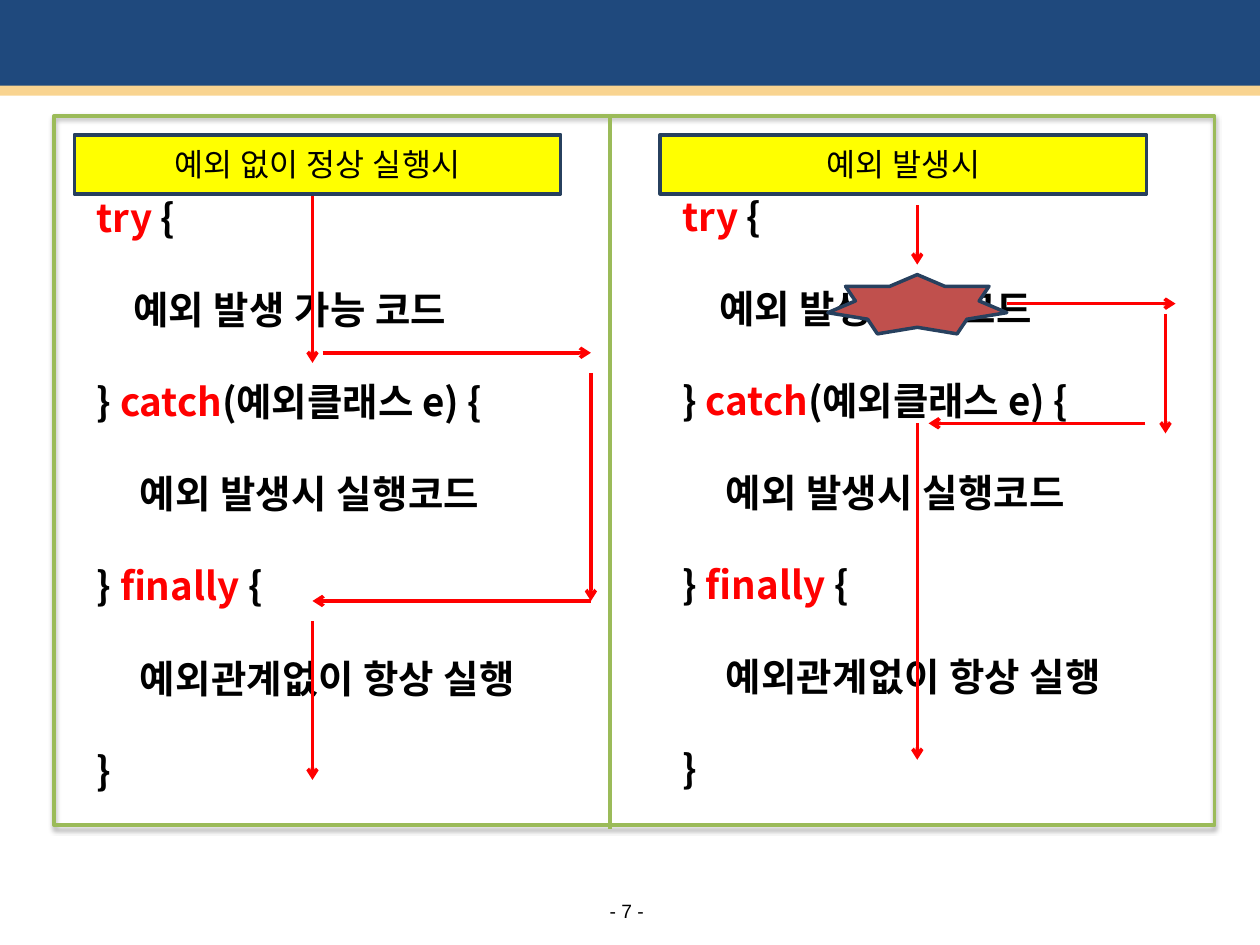
from lxml import etree
from pptx import Presentation
from pptx import util as u
from pptx.dml.color import RGBColor
from pptx.enum import shapes, text
from pptx.oxml import parse_xml
from pptx.oxml.ns import nsdecls, qn

NAVY = RGBColor(0x1F, 0x49, 0x7D)
SAND = RGBColor(0xF9, 0xD4, 0x90)
GREEN = RGBColor(0x9B, 0xBB, 0x59)
RED = RGBColor(0xFF, 0x00, 0x00)
BRICK = RGBColor(0xC0, 0x50, 0x4D)
YELLOW = RGBColor(0xFF, 0xFF, 0x00)
OUTLINE = RGBColor(0x27, 0x40, 0x5E)
BLACK = RGBColor(0x00, 0x00, 0x00)

KOREAN = "Noto Sans CJK KR"
CODE = {"name": KOREAN, "size": u.Pt(22), "bold": True}
HEADING = {"name": KOREAN, "size": u.Pt(18)}
FOOTER = {"name": "Arial", "size": u.Pt(11)}
LOOSE = 25  # letter spacing of Korean phrases, in hundredths of a point

# Each line is a left margin and a list of (words, colour, letter spacing) spans.
CODE_LINES = [
    (0, [("try", RED, 0), (" {", BLACK, 0)]),
    (0, [("    예외 발생 가능 코드", BLACK, LOOSE)]),
    (0, [("} ", BLACK, 0), ("catch", RED, 0), ("(예외클래스 e) {", BLACK, 0)]),
    (0.05, [("    예외 발생시 실행코드", BLACK, LOOSE)]),
    (0, [("} ", BLACK, 0), ("finally", RED, 0), (" {", BLACK, 0)]),
    (0.05, [("    예외관계없이 항상 실행", BLACK, LOOSE)]),
    (0, [("}", BLACK, 0)]),
]

NORMAL_FLOW = [
    (2.48, 1.55, 2.48, 2.88),
    (2.56, 2.8, 4.69, 2.8),
    (4.69, 2.96, 4.69, 4.77),
    (4.69, 4.77, 2.48, 4.77),
    (2.48, 4.93, 2.48, 6.19),
]
EXCEPTION_FLOW = [
    (7.28, 1.63, 7.28, 2.1),
    (7.28, 3.36, 7.28, 6.03),
    (7.99, 2.41, 9.33, 2.41),
    (9.25, 2.49, 9.25, 3.44),
    (9.09, 3.36, 7.37, 3.36),
]


def inches(values):
    return [u.Inches(value) for value in values]


class Painter:
    line_width = u.Pt(2)

    def __init__(self, page):
        self.page = page

    def shape(self, kind, at, fill=None, line=None):
        shape = self.page.shapes.add_shape(kind, *inches(at))
        shape.shadow.inherit = False
        if fill is None:
            shape.fill.background()
        else:
            shape.fill.solid()
            shape.fill.fore_color.rgb = fill
        if line is None:
            shape.line.fill.background()
        else:
            shape.line.color.rgb = line
            shape.line.width = self.line_width
        return shape

    def drop_shadow(self, shape):
        """Put a soft grey shadow below the shape."""
        effects = shape._element.spPr.find(qn("a:effectLst"))
        effects.append(parse_xml(
            f'<a:outerShdw {nsdecls("a")} blurRad="{u.Pt(3.1)}" dist="{u.Pt(1.8)}" '
            'dir="5400000" rotWithShape="0"><a:srgbClr val="000000">'
            '<a:alpha val="35000"/></a:srgbClr></a:outerShdw>'))

    def span(self, para, words, colour, style, spacing=0):
        span = para.add_run()
        span.text = words
        for name, value in style.items():
            setattr(span.font, name, value)
        span.font.color.rgb = colour
        properties = span._r.get_or_add_rPr()
        if spacing:
            properties.set("spc", str(spacing))
        east_asian = etree.SubElement(properties, qn("a:ea"))
        east_asian.set("typeface", style["name"])

    def heading(self, at, words):
        box = self.shape(shapes.MSO_SHAPE.RECTANGLE, at, YELLOW, OUTLINE)
        box.text_frame.vertical_anchor = text.MSO_ANCHOR.MIDDLE
        para = box.text_frame.paragraphs[0]
        para.alignment = text.PP_ALIGN.CENTER
        self.span(para, words, BLACK, HEADING, LOOSE)

    def code(self, at, lines):
        frame = self.page.shapes.add_textbox(*inches(at)).text_frame
        frame.word_wrap = True
        for index, (margin, spans) in enumerate(lines):
            para = frame.add_paragraph() if index else frame.paragraphs[0]
            para.space_before = u.Pt(26.25 if index else 0)
            para._p.get_or_add_pPr().set("marL", str(u.Inches(margin)))
            for words, colour, spacing in spans:
                self.span(para, words, colour, CODE, spacing)

    def page_number(self, at, words):
        frame = self.page.shapes.add_textbox(*inches(at)).text_frame
        margins = ("margin_left", "margin_top", "margin_right", "margin_bottom")
        for name in margins:
            setattr(frame, name, 0)
        frame.word_wrap = False
        frame.vertical_anchor = text.MSO_ANCHOR.MIDDLE
        para = frame.paragraphs[0]
        para.alignment = text.PP_ALIGN.CENTER
        self.span(para, words, BLACK, FOOTER)

    def line(self, ends, colour, arrow=False):
        line = self.page.shapes.add_connector(
            shapes.MSO_CONNECTOR.STRAIGHT, *inches(ends))
        line.line.color.rgb = colour
        line.line.width = self.line_width
        if arrow:
            head = etree.SubElement(line.line._get_or_add_ln(), qn("a:tailEnd"))
            head.set("type", "arrow")
        etree.SubElement(line._element.spPr, qn("a:effectLst"))

    def flow(self, steps):
        for ends in steps:
            self.line(ends, RED, arrow=True)


def main():
    deck = Presentation()
    deck.slide_width, deck.slide_height = inches((10, 7.5))
    painter = Painter(deck.slides.add_slide(deck.slide_layouts[6]))
    kinds = shapes.MSO_SHAPE

    painter.shape(kinds.RECTANGLE, (0, -0.03, 10, 0.76), NAVY)
    painter.page_number((4.76, 7.13, 0.43, 0.19), "- 7 -")
    painter.shape(kinds.RECTANGLE, (0, 0.68, 10, 0.08), SAND)
    frame = painter.shape(
        kinds.FLOWCHART_PROCESS, (0.43, 0.92, 9.21, 5.63), line=GREEN)
    painter.drop_shadow(frame)

    painter.code((0.67, 1.49, 4.17, 4.87), CODE_LINES)
    painter.flow(NORMAL_FLOW)
    painter.heading((0.59, 1.07, 3.86, 0.47), "예외 없이 정상 실행시")

    painter.code((5.32, 1.48, 4.17, 4.87), CODE_LINES)
    painter.heading((5.24, 1.07, 3.86, 0.47), "예외 발생시")
    painter.shape(kinds.STAR_7_POINT, (6.57, 2.18, 1.42, 0.47), BRICK, OUTLINE)
    painter.flow(EXCEPTION_FLOW)

    painter.line((4.84, 0.92, 4.84, 6.58), GREEN)
    deck.save("out.pptx")


if __name__ == "__main__":
    main()
